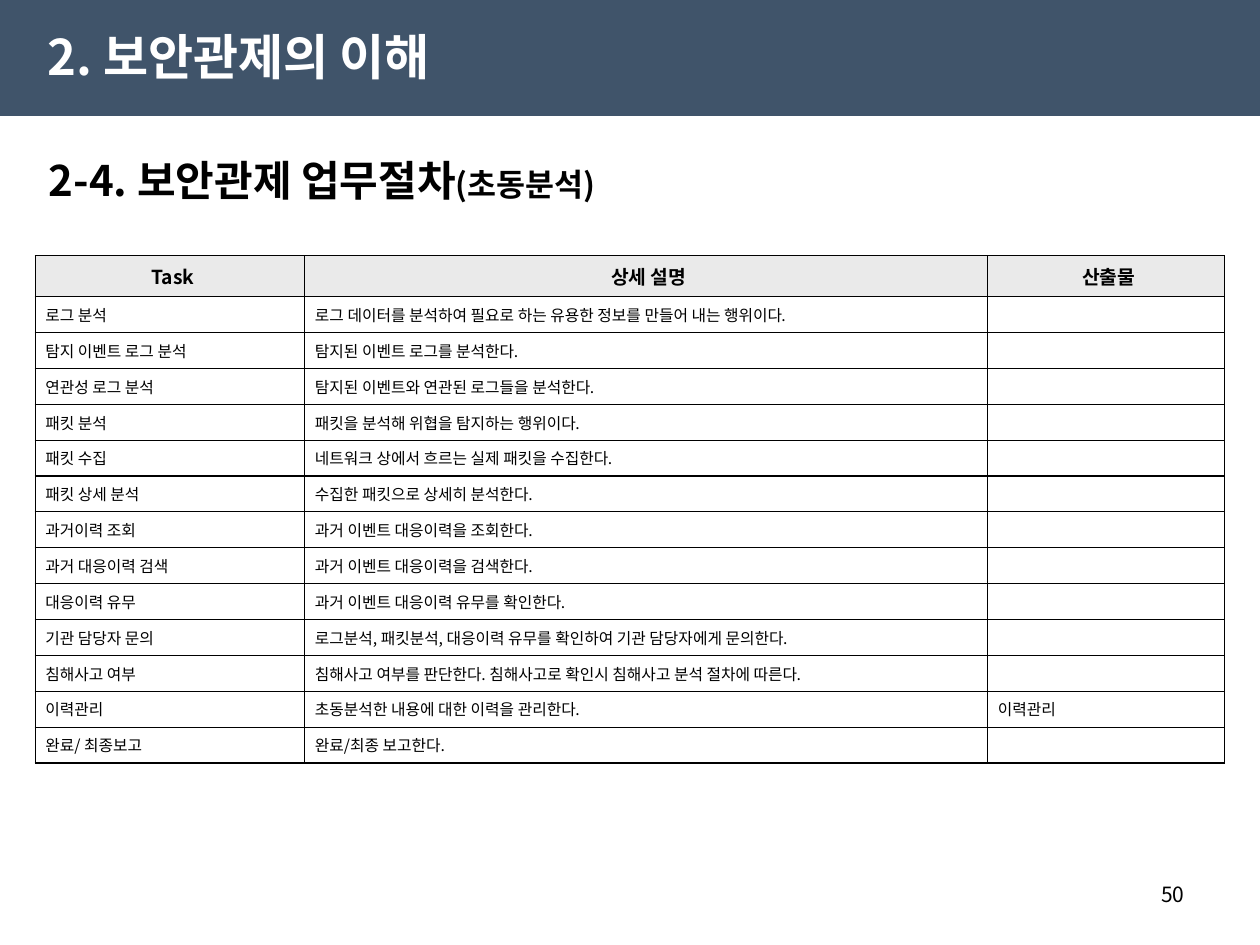
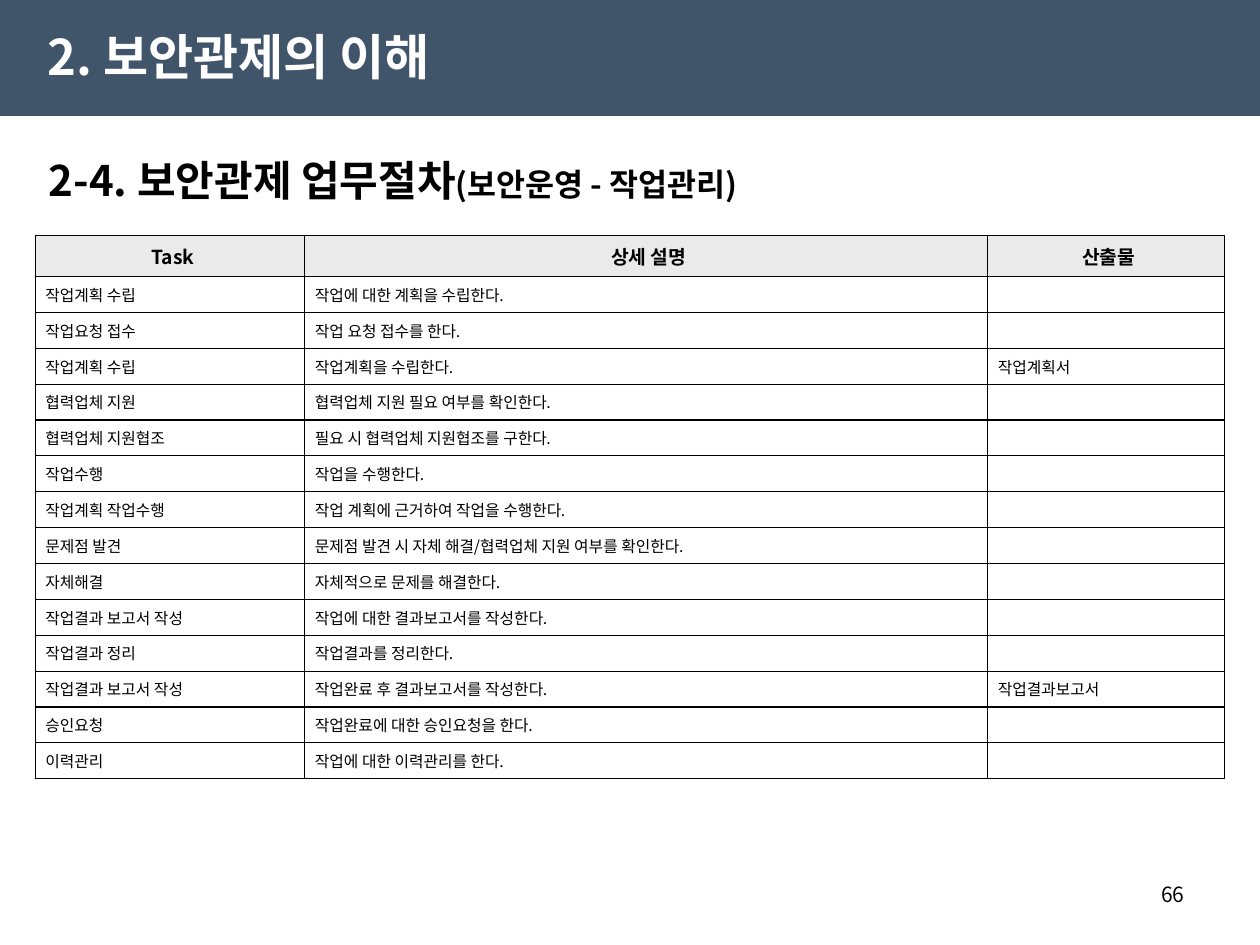
"""Build two slides of security monitoring task tables."""
import lxml.etree
import pptx
import pptx.dml.color
import pptx.enum.shapes
import pptx.enum.text
import pptx.oxml.ns
import pptx.util

Inches = pptx.util.Inches
Pt = pptx.util.Pt
RGBColor = pptx.dml.color.RGBColor
PP_ALIGN = pptx.enum.text.PP_ALIGN
MIDDLE = pptx.enum.text.MSO_ANCHOR.MIDDLE
qn = pptx.oxml.ns.qn

FONT = "Noto Sans CJK KR"
BAND = RGBColor(0x40, 0x54, 0x6A)
HEADER = RGBColor(0xEA, 0xEA, 0xEA)
WHITE = RGBColor(0xFF, 0xFF, 0xFF)
BLACK = RGBColor(0x00, 0x00, 0x00)

COLUMNS = ["Task", "상세 설명", "산출물"]
WIDTHS = [2.14, 5.42, 1.88]
HEADER_HEIGHT = Pt(23.4)
ROW_HEIGHT = Pt(20.5)
HANGING = Inches(0.19)

SLIDES = [
    ("(초동분석)", 2.03, "50", [
        ("로그 분석", "로그 데이터를 분석하여 필요로 하는 유용한 정보를 만들어 내는 행위이다.", ""),
        ("탐지 이벤트 로그 분석", "탐지된 이벤트 로그를 분석한다.", ""),
        ("연관성 로그 분석", "탐지된 이벤트와 연관된 로그들을 분석한다.", ""),
        ("패킷 분석", "패킷을 분석해 위협을 탐지하는 행위이다.", ""),
        ("패킷 수집", "네트워크 상에서 흐르는 실제 패킷을 수집한다.", ""),
        ("패킷 상세 분석", "수집한 패킷으로 상세히 분석한다.", ""),
        ("과거이력 조회", "과거 이벤트 대응이력을 조회한다.", ""),
        ("과거 대응이력 검색", "과거 이벤트 대응이력을 검색한다.", ""),
        ("대응이력 유무", "과거 이벤트 대응이력 유무를 확인한다.", ""),
        ("기관 담당자 문의", "로그분석, 패킷분석, 대응이력 유무를 확인하여 기관 담당자에게 문의한다.", ""),
        ("침해사고 여부", "침해사고 여부를 판단한다. 침해사고로 확인시 침해사고 분석 절차에 따른다.", ""),
        ("이력관리", "초동분석한 내용에 대한 이력을 관리한다.", "이력관리"),
        ("완료/ 최종보고", "완료/최종 보고한다.", ""),
    ]),
    ("(보안운영 - 작업관리)", 1.87, "66", [
        ("작업계획 수립", "작업에 대한 계획을 수립한다.", ""),
        ("작업요청 접수", "작업 요청 접수를 한다.", ""),
        ("작업계획 수립", "작업계획을 수립한다.", "작업계획서"),
        ("협력업체 지원", "협력업체 지원 필요 여부를 확인한다.", ""),
        ("협력업체 지원협조", "필요 시 협력업체 지원협조를 구한다.", ""),
        ("작업수행", "작업을 수행한다.", ""),
        ("작업계획 작업수행", "작업 계획에 근거하여 작업을 수행한다.", ""),
        ("문제점 발견", "문제점 발견 시 자체 해결/협력업체 지원 여부를 확인한다.", ""),
        ("자체해결", "자체적으로 문제를 해결한다.", ""),
        ("작업결과 보고서 작성", "작업에 대한 결과보고서를 작성한다.", ""),
        ("작업결과 정리", "작업결과를 정리한다.", ""),
        ("작업결과 보고서 작성", "작업완료 후 결과보고서를 작성한다.", "작업결과보고서"),
        ("승인요청", "작업완료에 대한 승인요청을 한다.", ""),
        ("이력관리", "작업에 대한 이력관리를 한다.", ""),
    ]),
]


def format_run(r, size, color=BLACK, bold=False):
    r.font.name = FONT
    r.font.size = Pt(size)
    r.font.bold = bold
    r.font.color.rgb = color
    ea = lxml.etree.SubElement(r.font._element, qn("a:ea"))
    ea.set("typeface", FONT)


def add_text(s, left, top, width, height, text):
    tf = s.shapes.add_textbox(Inches(left), Inches(top), Inches(width), Inches(height)).text_frame
    tf.word_wrap = True
    tf.vertical_anchor = MIDDLE
    tf.text = text
    return tf.paragraphs[0]


prs = pptx.Presentation()
prs.slide_width = Inches(10)
prs.slide_height = Inches(7.5)

for topic, table_top, number, tasks in SLIDES:
    s = prs.slides.add_slide(prs.slide_layouts[6])
    sp = s.shapes.add_shape(pptx.enum.shapes.MSO_SHAPE.RECTANGLE, 0, 0, prs.slide_width, Inches(0.92))
    sp.shadow.inherit = False
    sp.fill.solid()
    sp.fill.fore_color.rgb = BAND
    sp.line.fill.background()

    p = add_text(s, 0.28, 0.13, 4.72, 0.63, "2. 보안관제의 이해")
    format_run(p.runs[0], 28, WHITE, True)
    p = add_text(s, 0.29, 1.15, 9.43, 0.55, "2-4. 보안관제 업무절차")
    format_run(p.runs[0], 24, bold=True)
    r = p.add_run()
    r.text = topic
    format_run(r, 18, bold=True)

    rows = [COLUMNS] + tasks
    height = HEADER_HEIGHT + ROW_HEIGHT * len(tasks)
    table = s.shapes.add_table(len(rows), len(COLUMNS), Inches(0.28), Inches(table_top),
                               Inches(sum(WIDTHS)), height).table
    table.horz_banding = False
    for column, width in zip(table.columns, WIDTHS):
        column.width = Inches(width)
    for i, row in enumerate(rows):
        is_header = i == 0
        table.rows[i].height = HEADER_HEIGHT if is_header else ROW_HEIGHT
        for j, text in enumerate(row):
            cell = table.cell(i, j)
            cell.vertical_anchor = MIDDLE
            cell.margin_left = Inches(0.08)
            cell.margin_right = Inches(0.04)
            cell.margin_top = cell.margin_bottom = Inches(0.05)
            tcPr = cell._tc.get_or_add_tcPr()
            for side in ("a:lnL", "a:lnR", "a:lnT", "a:lnB"):
                ln = lxml.etree.SubElement(tcPr, qn(side), w=str(Pt(0.75)))
                fill = lxml.etree.SubElement(ln, qn("a:solidFill"))
                lxml.etree.SubElement(fill, qn("a:srgbClr"), val=str(BLACK))
            if is_header:
                cell.fill.solid()
                cell.fill.fore_color.rgb = HEADER
            else:
                cell.fill.background()
            p = cell.text_frame.paragraphs[0]
            p.text = text
            p.alignment = PP_ALIGN.CENTER if is_header else PP_ALIGN.LEFT
            if j == 0 and not is_header:
                pPr = p._p.get_or_add_pPr()
                pPr.set("marL", str(HANGING))
                pPr.set("indent", str(-HANGING))
            for r in p.runs:
                format_run(r, 11 if is_header else 9, bold=is_header)
            if not text:
                lxml.etree.SubElement(p._p, qn("a:endParaRPr"), sz="900")

    p = add_text(s, 7.17, 6.95, 2.33, 0.4, number)
    p.alignment = PP_ALIGN.RIGHT
    format_run(p.runs[0], 12)
    s.shapes[-1].text_frame.vertical_anchor = pptx.enum.text.MSO_ANCHOR.TOP

prs.save("out.pptx")
